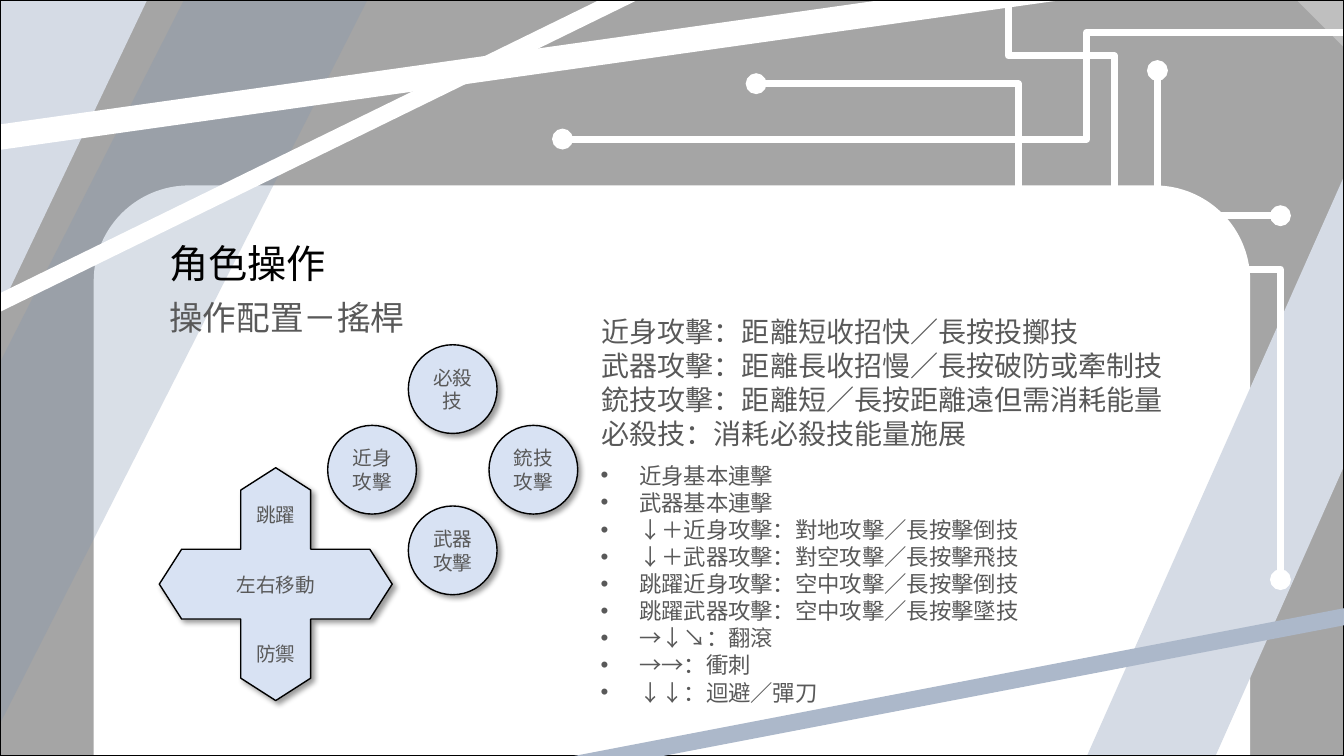
from lxml.etree import SubElement
from pptx import Presentation
from pptx.dml.color import RGBColor
from pptx.enum.shapes import MSO_CONNECTOR as Connector, MSO_SHAPE as Preset
from pptx.enum.text import MSO_ANCHOR as Anchor, MSO_AUTO_SIZE as AutoSize, PP_ALIGN as Align
from pptx.oxml.ns import qn
from pptx.util import Inches, Pt

COLORS = {
    "corner": "BFBFBF", "backdrop": "A5A5A5", "panel": "FFFFFF", "stripe": "D5DBE5",
    "shade": "8296B0", "accent": "ACB8CA", "button": "D8E2F3",
    "black": "000000", "text": "595959",
}
CJK_FONT = "Noto Sans CJK TC"
LINE_FACTOR = 1.21

ATTACK_NOTES = [
    "近身攻擊：距離短收招快／長按投擲技",
    "武器攻擊：距離長收招慢／長按破防或牽制技",
    "銃技攻擊：距離短／長按距離遠但需消耗能量",
    "必殺技：消耗必殺技能量施展",
]
MOVES = [
    "近身基本連擊",
    "武器基本連擊",
    "↓＋近身攻擊：對地攻擊／長按擊倒技",
    "↓＋武器攻擊：對空攻擊／長按擊飛技",
    "跳躍近身攻擊：空中攻擊／長按擊倒技",
    "跳躍武器攻擊：空中攻擊／長按擊墜技",
    "→↓↘：翻滾",
    "→→：衝刺",
    "↓↓：迴避／彈刀",
]
BUTTONS = [("必殺技", 0, -1), ("近身攻擊", -1, 0), ("銃技攻擊", 1, 0), ("武器攻擊", 0, 1)]
CIRCUITS = [
    ((10, -0.47), (11.05, 2.77), 0.316, 270),
    ((7.5, 0.83), (12.7, 2.14), 0.5, 0),
    ((13.48, 0.32), (5.58, 1.38), 0.342, 0),
    ((12.7, 5.75), (11.48, 0.7), 0.61, 90),
]
BEAMS = [((6.48, -0.17), (-0.14, 3.07), 12), ((10.84, -0.17), (-0.14, 1.38), 18)]


def color(name):
    """Return the named colour of the palette."""
    return RGBColor.from_string(COLORS[name])


def add_block(slide, preset, box, fill=None, outline=None, adjustments=(), alpha=None):
    """Add a preset shape with optional fill, outline and transparency."""
    shape = slide.shapes.add_shape(preset, *map(Inches, box))
    shape.shadow.inherit = False
    for index, value in enumerate(adjustments):
        shape.adjustments[index] = value
    if fill:
        shape.fill.solid()
        shape.fill.fore_color.rgb = color(fill)
    else:
        shape.fill.background()
    if alpha:
        fill_color = shape._element.spPr.find(f"{qn('a:solidFill')}/{qn('a:srgbClr')}")
        SubElement(fill_color, qn("a:alpha"), val=str(alpha * 1000))
    if outline:
        shape.line.color.rgb = color(outline)
        shape.line.width = Pt(1)
    else:
        shape.line.fill.background()
    return shape


def add_line(slide, kind, start, end, line_color, width):
    """Add a plain connector between two points."""
    line = slide.shapes.add_connector(kind, *map(Inches, (*start, *end)))
    line.line.color.rgb = color(line_color)
    line.line.width = Pt(width)
    SubElement(line._element.spPr, qn("a:effectLst"))
    return line


def add_circuit(slide, start, end, bend, rotation):
    """Add a bent line with round ends, turned when it starts vertically."""
    if rotation:
        middle_x, middle_y = (start[0] + end[0]) / 2, (start[1] + end[1]) / 2
        half_width, half_height = abs(end[1] - start[1]) / 2, abs(end[0] - start[0]) / 2
        start = middle_x + half_width, middle_y - half_height
        end = middle_x - half_width, middle_y + half_height
    line = add_line(slide, Connector.ELBOW, start, end, "panel", 5)
    properties = line._element.spPr
    if rotation:
        properties.find(qn("a:xfrm")).set("rot", str(rotation * 60000))
    guides = properties.find(f"{qn('a:prstGeom')}/{qn('a:avLst')}")
    SubElement(guides, qn("a:gd"), name="adj1", fmla=f"val {round(bend * 100000)}")
    for tag in ("a:headEnd", "a:tailEnd"):
        SubElement(properties.find(qn("a:ln")), qn(tag), type="oval")


def add_bullet(paragraph):
    """Give a paragraph a hanging round bullet."""
    properties = paragraph._p.get_or_add_pPr()
    properties.set("marL", str(Inches(0.38)))
    properties.set("indent", str(-Inches(0.38)))
    bullet_color = SubElement(properties, qn("a:buClr"))
    SubElement(bullet_color, qn("a:srgbClr"), val=COLORS["text"])
    SubElement(properties, qn("a:buFont"), typeface="Arial")
    SubElement(properties, qn("a:buChar"), char="•")


def write(shape, lines, size, font=CJK_FONT, text_color="text", align=Align.LEFT, gap=0, bullets=False):
    """Fill a shape with one paragraph per line and format the runs."""
    frame = shape.text_frame
    frame.word_wrap = True
    frame.text = "\n".join(lines)
    for index, paragraph in enumerate(frame.paragraphs):
        if bullets:
            add_bullet(paragraph)
        paragraph.alignment = align
        paragraph.line_spacing = Pt(size * LINE_FACTOR)
        if gap and index:
            paragraph.space_before = Pt(gap)
        for run in paragraph.runs:
            run.font.size = Pt(size)
            run.font.name = font
            run.font.color.rgb = color(text_color)
            SubElement(run._r.get_or_add_rPr(), qn("a:ea"), typeface=CJK_FONT)


def add_text(slide, box, lines, size, **style):
    """Add a text box that grows with its text."""
    text_box = slide.shapes.add_textbox(*map(Inches, box))
    write(text_box, lines, size, **style)
    text_box.text_frame.auto_size = AutoSize.SHAPE_TO_FIT_TEXT


def add_control(slide, preset, box, lines, adjustments=(), gap=0):
    """Add a labelled controller part with a soft shadow."""
    shape = add_block(slide, preset, box, "button", "black", adjustments)
    effects = shape._element.spPr.find(qn("a:effectLst"))
    shadow = SubElement(effects, qn("a:outerShdw"), blurRad=str(Pt(4)), dist=str(Pt(3)),
                        dir=str(45 * 60000), algn="tl", rotWithShape="0")
    shadow_color = SubElement(shadow, qn("a:srgbClr"), val=COLORS["black"])
    SubElement(shadow_color, qn("a:alpha"), val="40000")
    shape.text_frame.vertical_anchor = Anchor.MIDDLE
    write(shape, lines, 14, align=Align.CENTER, gap=gap)


def add_scenery(slide):
    """Draw the backdrop, the panel and the decorative lines."""
    slide.background.fill.solid()
    slide.background.fill.fore_color.rgb = color("corner")
    add_block(slide, Preset.SNIP_2_SAME_RECTANGLE, (0, 0, 13.33, 7.5), "backdrop", adjustments=(0.063, 0))
    add_block(slide, Preset.ROUND_2_SAME_RECTANGLE, (0.93, 1.84, 11.47, 5.66), "panel", adjustments=(0.167, 0))
    right_stripe = add_block(slide, Preset.DIAGONAL_STRIPE, (10.78, 1.75, 2.55, 5.75), "stripe", adjustments=(0.5,))
    right_stripe.rotation = 180
    for circuit in CIRCUITS:
        add_circuit(slide, *circuit)
    add_block(slide, Preset.DIAGONAL_STRIPE, (0, 0, 1.46, 3.07), "stripe", adjustments=(0,))
    add_block(slide, Preset.DIAGONAL_STRIPE, (0, 0.01, 3.64, 7.17), "shade", adjustments=(0.5,), alpha=30)
    for start, end, width in BEAMS:
        add_line(slide, Connector.STRAIGHT, start, end, "panel", width)
    add_block(slide, Preset.RECTANGLE, (0, 0, 13.33, 7.5), outline="black")
    add_line(slide, Connector.STRAIGHT, (13.48, 6.09), (5.25, 7.67), "accent", 12)


def add_controller(slide):
    """Draw the four round buttons and the direction pad."""
    for label, column, row in BUTTONS:
        box = (4.05 + 0.8 * column, 4.22 + 0.8 * row, 0.88, 0.88)
        add_control(slide, Preset.OVAL, box, [label])
    add_control(slide, Preset.QUAD_ARROW, (1.58, 4.64, 2.31, 2.31), ["跳躍", "左右移動", "防禦"],
                adjustments=(0.3, 0.15, 0.096), gap=33)


def main():
    """Build the slide and save it."""
    presentation = Presentation()
    presentation.slide_width, presentation.slide_height = Inches(13.33), Inches(7.5)
    slide = presentation.slides.add_slide(presentation.slide_layouts[6])
    add_scenery(slide)
    add_text(slide, (1.58, 2.32, 5.51, 0.57), ["角色操作"], 28, font="Calibri", text_color="black")
    add_text(slide, (1.58, 2.89, 4.8, 0.5), ["操作配置－搖桿"], 24, font="Calibri")
    add_controller(slide)
    add_text(slide, (5.87, 3.07, 6.13, 1.45), ATTACK_NOTES, 20)
    add_text(slide, (5.86, 4.53, 5.62, 2.52), MOVES, 16, bullets=True)
    presentation.save("out.pptx")


if __name__ == "__main__":
    main()
